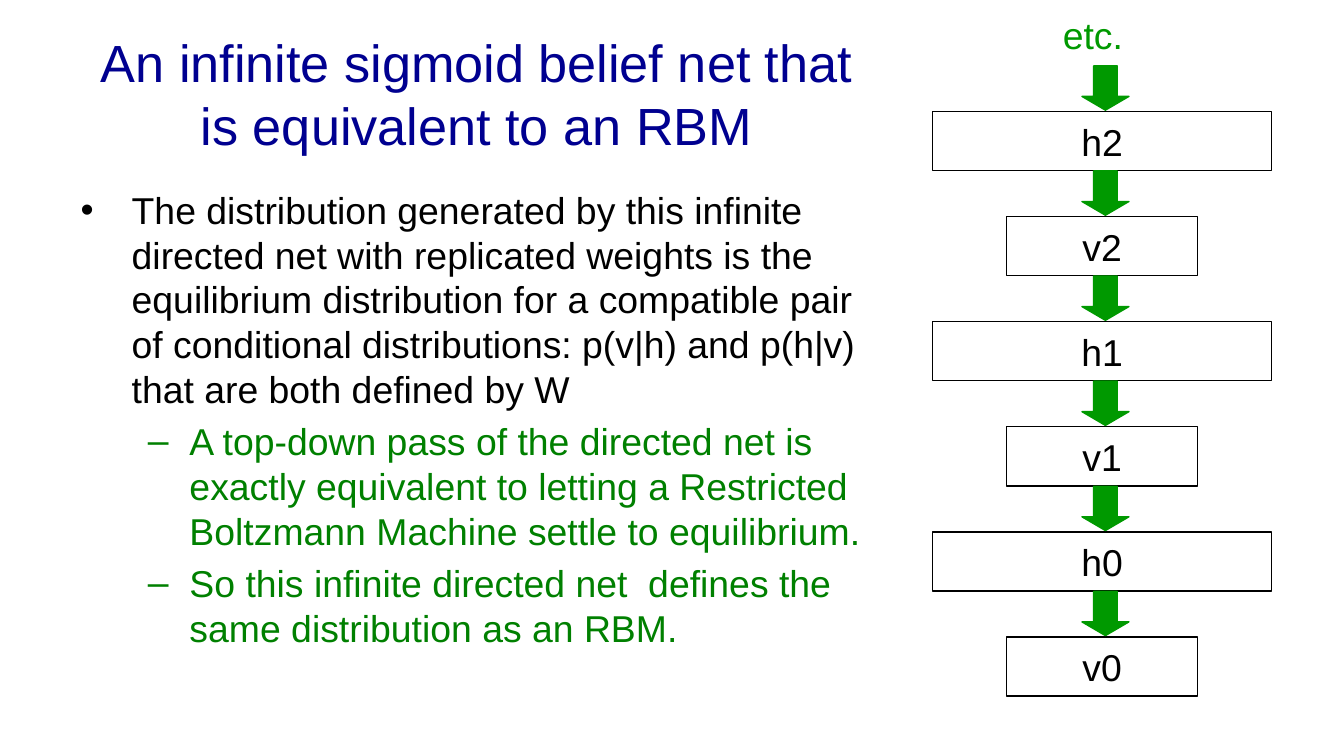
from pptx import Presentation, util as u
from pptx.dml.color import RGBColor
from pptx.enum import shapes, text


def color(code):
    return RGBColor.from_string(code)


def write(para, words, size=20, tint="000000", align=text.PP_ALIGN.LEFT,
          before=0):
    para.alignment = align
    para.space_before = u.Pt(before)
    para.line_spacing = 1.0
    run = para.add_run()
    run.text = words
    run.font.name = "Arial"
    run.font.size = u.Pt(size)
    run.font.color.rgb = color(tint)


class Deck:
    """Holds the style and the current slide, and adds each kind of element."""

    ink, navy, leaf, arrow_tint = "000000", "000090", "008000", "009900"
    indents = [(0.38, -0.38), (0.81, -0.31)]

    def __init__(self):
        self.prs = Presentation()
        self.prs.slide_width = u.Inches(10)
        self.prs.slide_height = u.Inches(10 * 9 / 16)
        self.slide = self.prs.slides.add_slide(self.prs.slide_layouts[1])

    def place(self, holder, left, top, width, height):
        holder.left, holder.top = u.Inches(left), u.Inches(top)
        holder.width, holder.height = u.Inches(width), u.Inches(height)
        frame = holder.text_frame
        frame.word_wrap = True
        frame.auto_size = text.MSO_AUTO_SIZE.NONE
        return frame

    def title(self, words, *area):
        frame = self.place(self.slide.shapes.title, *area)
        frame.vertical_anchor = text.MSO_ANCHOR.MIDDLE
        write(frame.paragraphs[0], words, size=28, tint=self.navy,
              align=text.PP_ALIGN.CENTER)

    def bullets(self, items, *area):
        frame = self.place(self.slide.placeholders[1], *area)
        frame.vertical_anchor = text.MSO_ANCHOR.TOP
        for i, (level, words) in enumerate(items):
            para = frame.add_paragraph() if i else frame.paragraphs[0]
            para.level = level
            margin, indent = self.indents[level]
            props = para._p.get_or_add_pPr()
            props.set("marL", str(u.Inches(margin)))
            props.set("indent", str(u.Inches(indent)))
            write(para, words, tint=self.leaf if level else self.ink,
                  before=4 if i else 0)

    def shape(self, kind, line, left, top, width, height):
        item = self.slide.shapes.add_shape(
            kind, u.Inches(left), u.Inches(top),
            u.Inches(width), u.Inches(height))
        item.shadow.inherit = False
        item.line.color.rgb = color(line)
        item.line.width = u.Pt(0.75)
        return item

    def layer(self, words, mid, top, width):
        box = self.shape(shapes.MSO_SHAPE.RECTANGLE, self.ink,
                         mid - width / 2, top, width, 0.44)
        box.fill.background()
        box.text_frame.vertical_anchor = text.MSO_ANCHOR.MIDDLE
        write(box.text_frame.paragraphs[0], words,
              align=text.PP_ALIGN.CENTER)

    def arrow(self, left, top):
        item = self.shape(shapes.MSO_SHAPE.DOWN_ARROW, self.arrow_tint,
                          left, top, 0.35, 0.33)
        item.fill.solid()
        item.fill.fore_color.rgb = color(self.arrow_tint)
        item.adjustments[0] = 0.5
        item.adjustments[1] = 0.31

    def label(self, words, left, top, width, height):
        box = self.slide.shapes.add_textbox(0, 0, 0, 0)
        frame = self.place(box, left, top, width, height)
        write(frame.paragraphs[0], words, tint=self.arrow_tint)


def main():
    deck = Deck()
    deck.title("An infinite sigmoid belief net that is equivalent to an RBM",
               0.63, 0.22, 5.83, 0.94)
    deck.bullets([
        (0, "The distribution generated by this infinite directed net with "
            "replicated weights is the equilibrium distribution for a "
            "compatible pair of conditional distributions: p(v|h) and p(h|v) "
            "that are both defined by W"),
        (1, "A top-down pass of the directed net is exactly equivalent to "
            "letting a Restricted Boltzmann Machine settle to equilibrium."),
        (1, "So this infinite directed net  defines the same distribution "
            "as an RBM."),
    ], 0.5, 1.34, 6.07, 4.22)

    names = ["h2", "v2", "h1", "v1", "h0", "v0"]
    widths = {"h": 2.52, "v": 1.42}
    first, last = 0.83, 4.74
    step = (last - first) / (len(names) - 1)
    for i, name in enumerate(names):
        top = first + i * step
        deck.layer(name, 8.2, top, widths[name[0]])
        deck.arrow(8.05, top - 0.34)
    deck.label("etc.", 7.81, 0.04, 1.22, 0.44)
    deck.prs.save("out.pptx")


if __name__ == "__main__":
    main()
